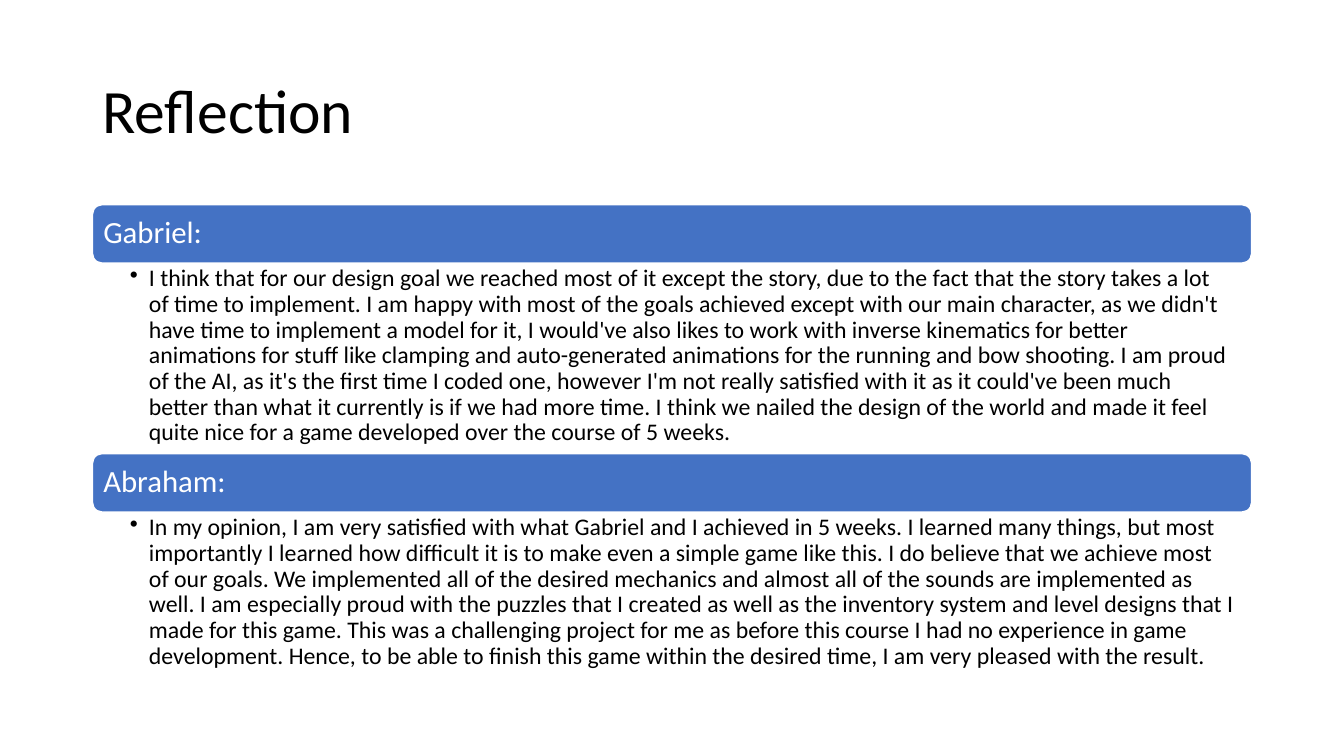
from lxml import etree
from pptx import Presentation
from pptx.dml.color import RGBColor
from pptx.enum.shapes import MSO_SHAPE
from pptx.enum.text import MSO_ANCHOR, PP_ALIGN
from pptx.oxml.ns import qn
from pptx.util import Inches, Pt

ROUND = MSO_SHAPE.ROUNDED_RECTANGLE
MID, TOP = MSO_ANCHOR.MIDDLE, MSO_ANCHOR.TOP
LEFT = PP_ALIGN.LEFT
COLORS = {"ink": "000000", "paper": "FFFFFF", "bar": "4472C4"}

# Shares of the slide, in percent
EDGE, WIDE = 6.88, 86.25
START, BAR = 27.07, 7.73

NOTES = [
    ("Gabriel:", 25.2,
     "I think that for our design goal we reached most of it except the story, "
     "due to the fact that the story takes a lot of time to implement. I am happy "
     "with most of the goals achieved except with our main character, as we didn't "
     "have time to implement a model for it, I would've also likes to work with "
     "inverse kinematics for better animations for stuff like clamping and "
     "auto-generated animations for the running and bow shooting. I am proud of "
     "the AI, as it's the first time I coded one, however I'm not really satisfied "
     "with it as it could've been much better than what it currently is if we had "
     "more time. I think we nailed the design of the world and made it feel quite "
     "nice for a game developed over the course of 5 weeks."),
    ("Abraham:", 21.87,
     "In my opinion, I am very satisfied with what Gabriel and I achieved in 5 "
     "weeks. I learned many things, but most importantly I learned how difficult "
     "it is to make even a simple game like this. I do believe that we achieve most "
     "of our goals. We implemented all of the desired mechanics and almost all of "
     "the sounds are implemented as well. I am especially proud with the puzzles "
     "that I created as well as the inventory system and level designs that I made "
     "for this game. This was a challenging project for me as before this course I "
     "had no experience in game development. Hence, to be able to finish this game "
     "within the desired time, I am very pleased with the result."),
]


class Deck:
    face = "Calibri"

    def __init__(self):
        self.show = Presentation()
        self.show.slide_width, self.show.slide_height = Inches(13.33), Inches(7.5)
        self.slide = self.show.slides.add_slide(self.show.slide_layouts[6])

    def place(self, top, high):
        """Box across the content width, from percent shares."""
        w, h = self.show.slide_width, self.show.slide_height
        return [int(part * side / 100) for part, side in
                ((EDGE, w), (top, h), (WIDE, w), (high, h))]

    def label(self, shape, text, size, color, anchor, pads, bullet=False):
        frame = shape.text_frame
        sides = ("margin_left", "margin_top", "margin_right", "margin_bottom")
        form = dict(zip(sides, map(Inches, pads)))
        form.update(word_wrap=True, vertical_anchor=anchor)
        for key, val in form.items():
            setattr(frame, key, val)
        para = frame.paragraphs[0]
        para.alignment, para.line_spacing = LEFT, 0.9
        if bullet:
            self.dot(para)
        run = para.add_run()
        run.text = text
        for key, val in {"name": self.face, "size": Pt(size)}.items():
            setattr(run.font, key, val)
        run.font.color.rgb = RGBColor.from_string(COLORS[color])

    def dot(self, para):
        props = para._p.get_or_add_pPr()
        gap = Inches(0.19)
        for key, val in {"lvl": 1, "marL": gap, "indent": -gap}.items():
            props.set(key, str(val))
        etree.SubElement(props, qn("a:buChar")).set("char", "•")

    def text(self, top, high, text, size, anchor, pads, bullet=False):
        box = self.slide.shapes.add_textbox(*self.place(top, high))
        self.label(box, text, size, "ink", anchor, pads, bullet)

    def bar(self, top, text):
        shape = self.slide.shapes.add_shape(ROUND, *self.place(top, BAR))
        shape.shadow.inherit = False
        shape.fill.solid()
        shape.fill.fore_color.rgb = RGBColor.from_string(COLORS["bar"])
        shape.line.color.rgb = RGBColor.from_string(COLORS["paper"])
        shape.line.width = Pt(1)
        self.label(shape, text, 22, "paper", MID, (0.08, 0.05, 0.08, 0.05))


def main():
    deck = Deck()
    # Title
    deck.text(5.33, 19.33, "Reflection", 44, MID, (0.1, 0.05, 0.1, 0.05))
    # One bar and one bulleted note per person
    top = START
    for name, high, note in NOTES:
        deck.bar(top, name)
        deck.text(top + BAR, high, note, 17, TOP, (0.37, 0.03, 0.17, 0.03), True)
        top += BAR + high
    deck.show.save("out.pptx")


if __name__ == "__main__":
    main()
